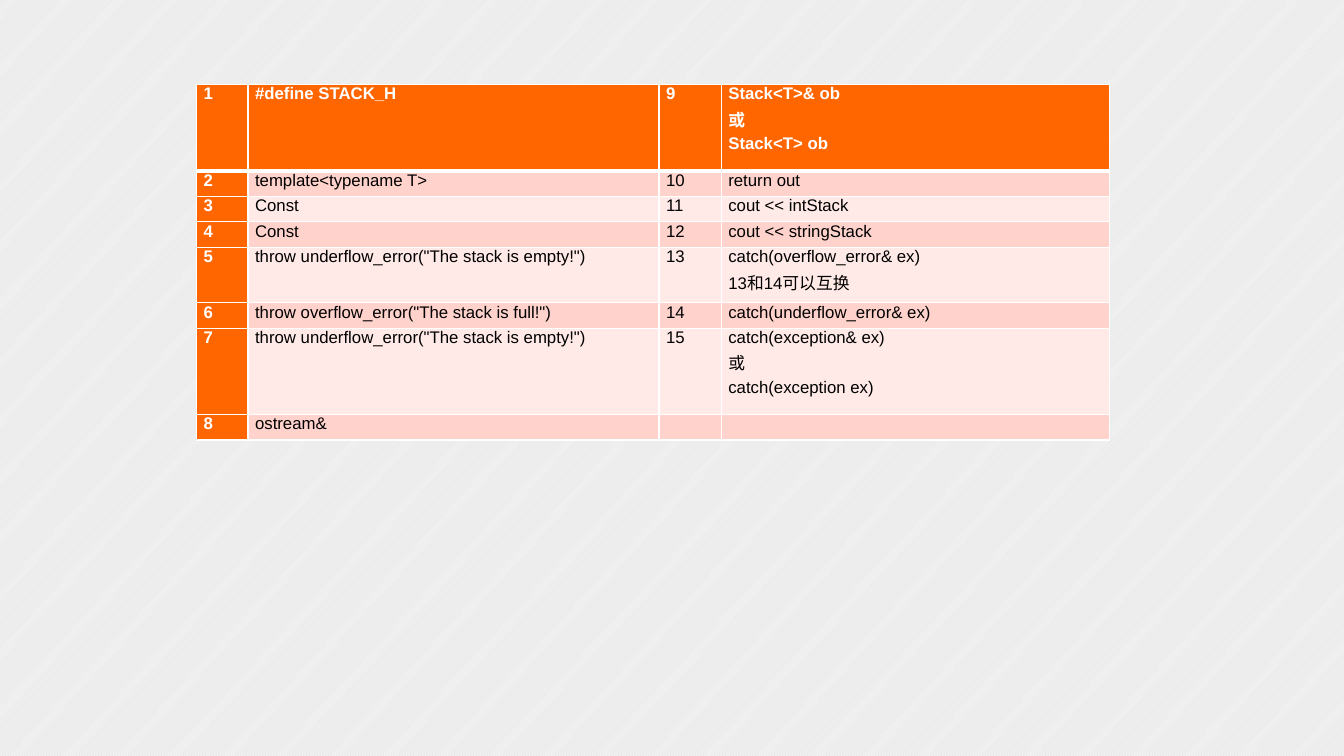
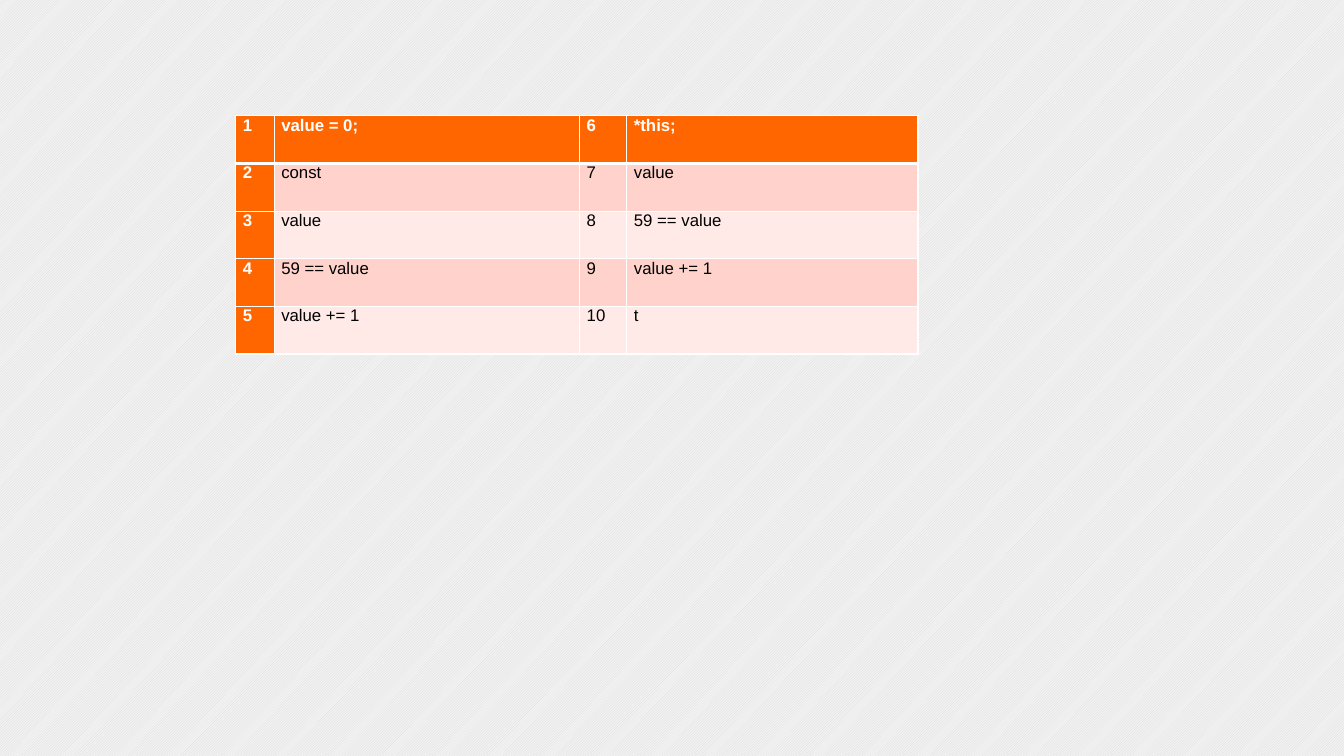
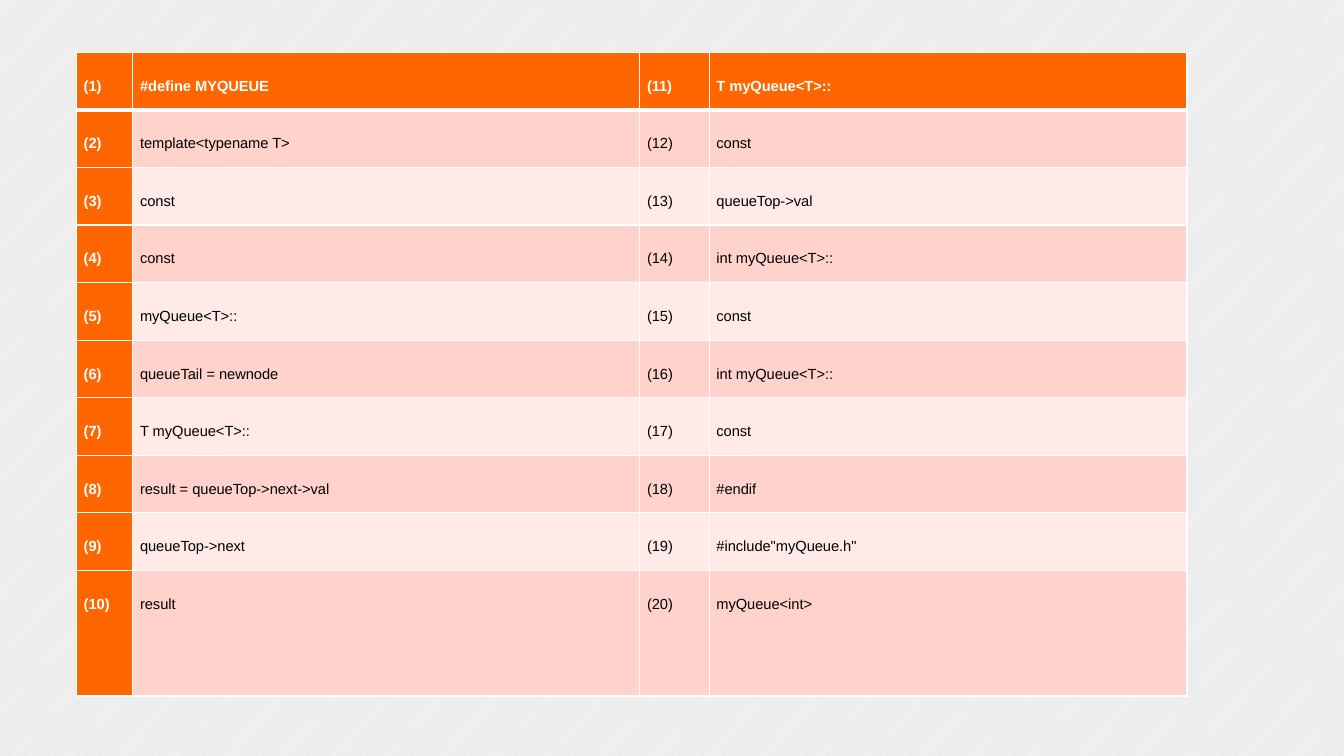
from dataclasses import dataclass
from itertools import zip_longest
from typing import Optional

from lxml.etree import SubElement
from pptx import Presentation
from pptx.dml.color import RGBColor
from pptx.enum.dml import MSO_PATTERN
from pptx.oxml.ns import qn
from pptx.presentation import Presentation as PresentationType
from pptx.slide import Slide
from pptx.table import _Cell
from pptx.util import Cm, Pt


@dataclass(frozen=True)
class Theme:
    font: str = "Arial"
    accent: str = "FF6600"
    band_dark: str = "FFD3CC"
    band_light: str = "FFEAE7"
    white: str = "FFFFFF"
    black: str = "000000"
    pattern_line: str = "D9D9D9"
    pattern_ground: str = "F2F2F2"
    body_size: float = 12
    small_size: float = 10.5
    paragraph_gap: float = 2.5
    thin_border: float = 1
    header_border: float = 3


THEME = Theme()


@dataclass(frozen=True)
class AnswerTable:
    """Numbered answers in two halves; lengths are in centimetres."""
    left: float
    top: float
    column_widths: list[float]
    row_heights: list[float]
    first_half: list[str]
    second_half: list[str]
    size: float = THEME.body_size
    label: str = "{}"
    line_spacing: Optional[float] = None

    def rows(self) -> list[list[str]]:
        """Number the first half downwards, then carry on in the second."""
        count = len(self.first_half)
        halves = zip_longest(self.first_half, self.second_half)
        return [
            [self.label.format(index), first,
             self.label.format(index + count) if second else "", second or ""]
            for index, (first, second) in enumerate(halves, start=1)
        ]


# Content of the slides
ANSWER_TABLES = [
    AnswerTable(
        left=4.95, top=2.13,
        column_widths=[1.3, 10.36, 1.57, 9.78],
        row_heights=[2.18, 0.64, 0.64, 0.64, 1.4, 0.64, 2.18, 0.64],
        first_half=[
            "#define STACK_H",
            "template<typename T>",
            "Const",
            "Const",
            'throw underflow_error("The stack is empty!")',
            'throw overflow_error("The stack is full!")',
            'throw underflow_error("The stack is empty!")',
            "ostream&",
        ],
        second_half=[
            "Stack<T>& ob\n或\nStack<T> ob",
            "return out",
            "cout << intStack",
            "cout << stringStack",
            "catch(overflow_error& ex)\n13和14可以互换",
            "catch(underflow_error& ex)",
            "catch(exception& ex)\n或\ncatch(exception ex)",
        ],
    ),
    AnswerTable(
        left=5.94, top=2.92,
        column_widths=[0.97, 7.7, 1.19, 7.34],
        row_heights=[1.2] * 5,
        first_half=["value = 0;", "const", "value", "59 == value", "value += 1"],
        second_half=["*this;", "value", "59 == value", "value += 1", "t"],
    ),
    AnswerTable(
        left=1.93, top=1.32,
        column_widths=[1.42, 12.78, 1.75, 12.04],
        row_heights=[1.45] * 9 + [3.17],
        first_half=[
            "#define MYQUEUE",
            "template<typename T>",
            "const",
            "const",
            "myQueue<T>::",
            "queueTail = newnode",
            "T myQueue<T>::",
            "result = queueTop->next->val",
            "queueTop->next",
            "result",
        ],
        second_half=[
            "T myQueue<T>::",
            "const",
            "queueTop->val",
            "int myQueue<T>::",
            "const",
            "int myQueue<T>::",
            "const",
            "#endif",
            '#include"myQueue.h"',
            "myQueue<int>",
        ],
        size=THEME.small_size, label="({})", line_spacing=30,
    ),
]


def write_text(cell: _Cell, text: str, *, size: float, color: str,
               bold: bool = False, line_spacing: Optional[float] = None) -> None:
    """Write one paragraph for each line of text."""
    frame = cell.text_frame
    for index, line in enumerate(text.split("\n")):
        paragraph = frame.add_paragraph() if index else frame.paragraphs[0]
        if index:
            paragraph.space_before = Pt(THEME.paragraph_gap)
        if line_spacing:
            paragraph.line_spacing = Pt(line_spacing)
        if not line:
            # An empty paragraph needs its own size to keep the row low
            SubElement(paragraph._p, qn("a:endParaRPr"), sz=str(int(size * 100)))
            continue
        run = paragraph.add_run()
        run.text = line
        run.font.name = THEME.font
        run.font.size = Pt(size)
        run.font.bold = bold
        run.font.color.rgb = RGBColor.from_string(color)


def set_borders(cell: _Cell, top: float, bottom: float) -> None:
    """Draw white borders; they must precede the fill in the cell."""
    properties = cell._tc.get_or_add_tcPr()
    widths = {"lnL": THEME.thin_border, "lnR": THEME.thin_border,
              "lnT": top, "lnB": bottom}
    for side, width in widths.items():
        line = SubElement(properties, qn(f"a:{side}"), w=str(int(Pt(width))))
        fill = SubElement(line, qn("a:solidFill"))
        SubElement(fill, qn("a:srgbClr"), val=THEME.white)


def format_cell(cell: _Cell, row: int, column: int) -> bool:
    """Set margins, borders and fill; tell whether it is a heading cell."""
    is_heading = row == 0 or column == 0
    cell.margin_left = cell.margin_right = Cm(0.18)
    cell.margin_top = cell.margin_bottom = 0
    set_borders(
        cell,
        top=THEME.header_border if row == 1 else THEME.thin_border,
        bottom=THEME.header_border if row == 0 else THEME.thin_border,
    )
    band = THEME.band_dark if row % 2 else THEME.band_light
    cell.fill.solid()
    cell.fill.fore_color.rgb = RGBColor.from_string(
        THEME.accent if is_heading else band)
    return is_heading


def draw_answers(slide: Slide, answers: AnswerTable) -> None:
    frame = slide.shapes.add_table(
        len(answers.row_heights), len(answers.column_widths),
        Cm(answers.left), Cm(answers.top),
        Cm(sum(answers.column_widths)), Cm(sum(answers.row_heights)))
    table = frame.table
    table.first_col = True
    for column, width in zip(table.columns, answers.column_widths):
        column.width = Cm(width)
    for row, height in zip(table.rows, answers.row_heights):
        row.height = Cm(height)
    for row_index, texts in enumerate(answers.rows()):
        for column_index, text in enumerate(texts):
            cell = table.cell(row_index, column_index)
            is_heading = format_cell(cell, row_index, column_index)
            write_text(cell, text, size=answers.size, bold=is_heading,
                       color=THEME.white if is_heading else THEME.black,
                       line_spacing=answers.line_spacing)


def set_background(presentation: PresentationType) -> None:
    """Give all slides the striped background through the master."""
    fill = presentation.slide_master.background.fill
    fill.patterned()
    fill.pattern = MSO_PATTERN.DARK_UPWARD_DIAGONAL
    fill.fore_color.rgb = RGBColor.from_string(THEME.pattern_line)
    fill.back_color.rgb = RGBColor.from_string(THEME.pattern_ground)


def main() -> None:
    presentation = Presentation()
    presentation.slide_width = Cm(33.88)
    presentation.slide_height = Cm(19.05)
    set_background(presentation)
    blank_layout = presentation.slide_layouts.get_by_name("Blank")
    for answers in ANSWER_TABLES:
        draw_answers(presentation.slides.add_slide(blank_layout), answers)
    presentation.save("out.pptx")


if __name__ == "__main__":
    main()
